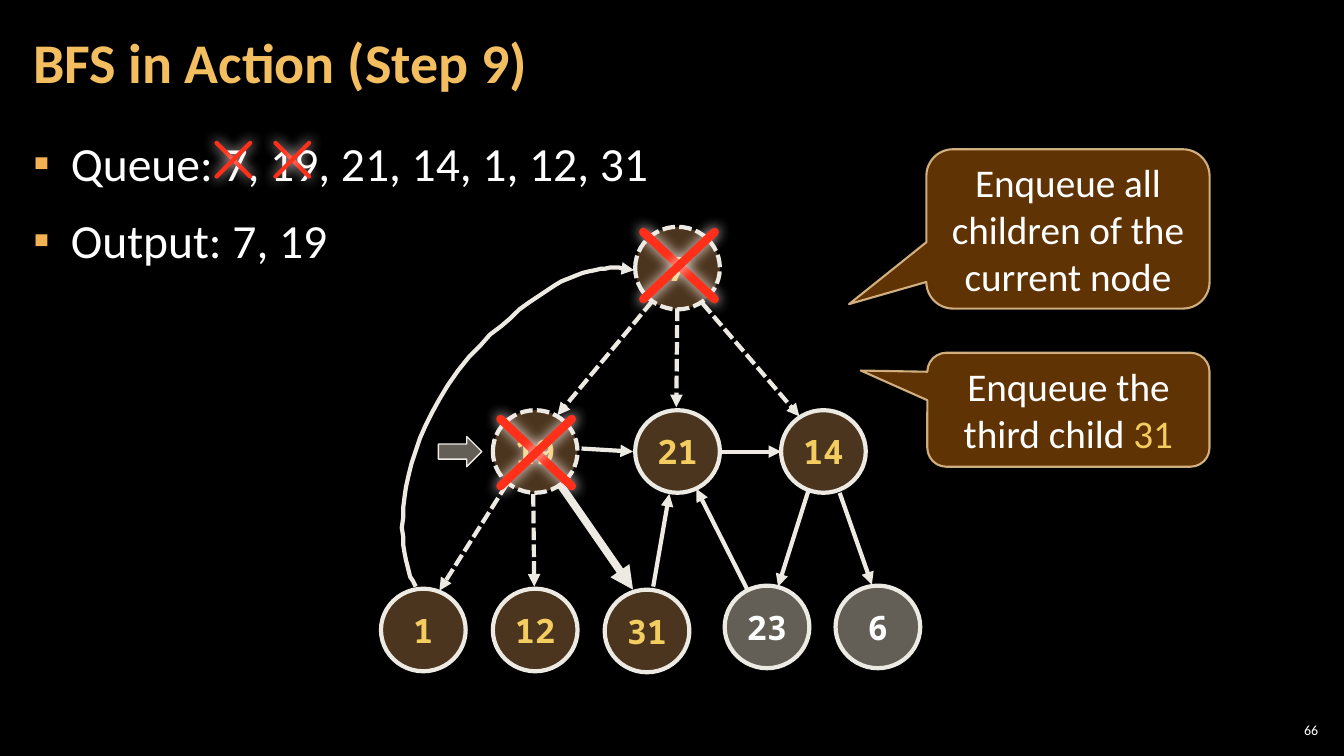
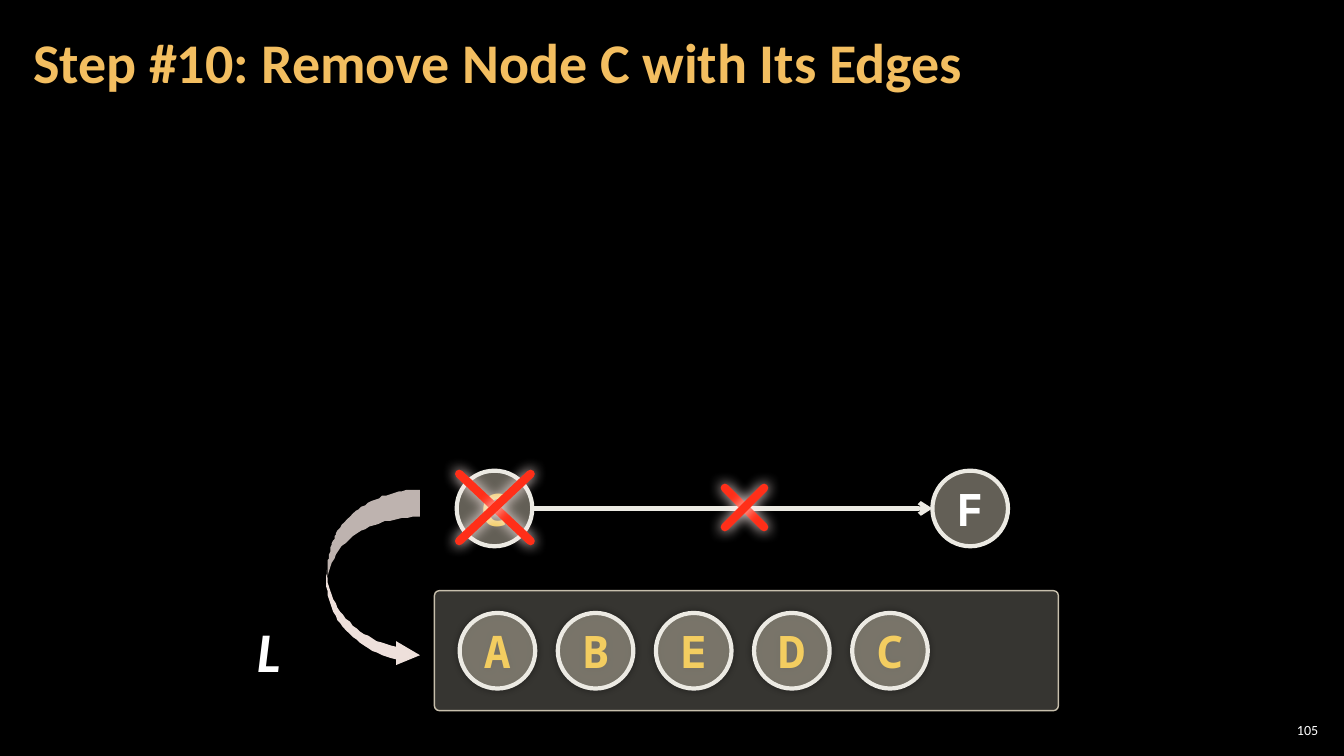
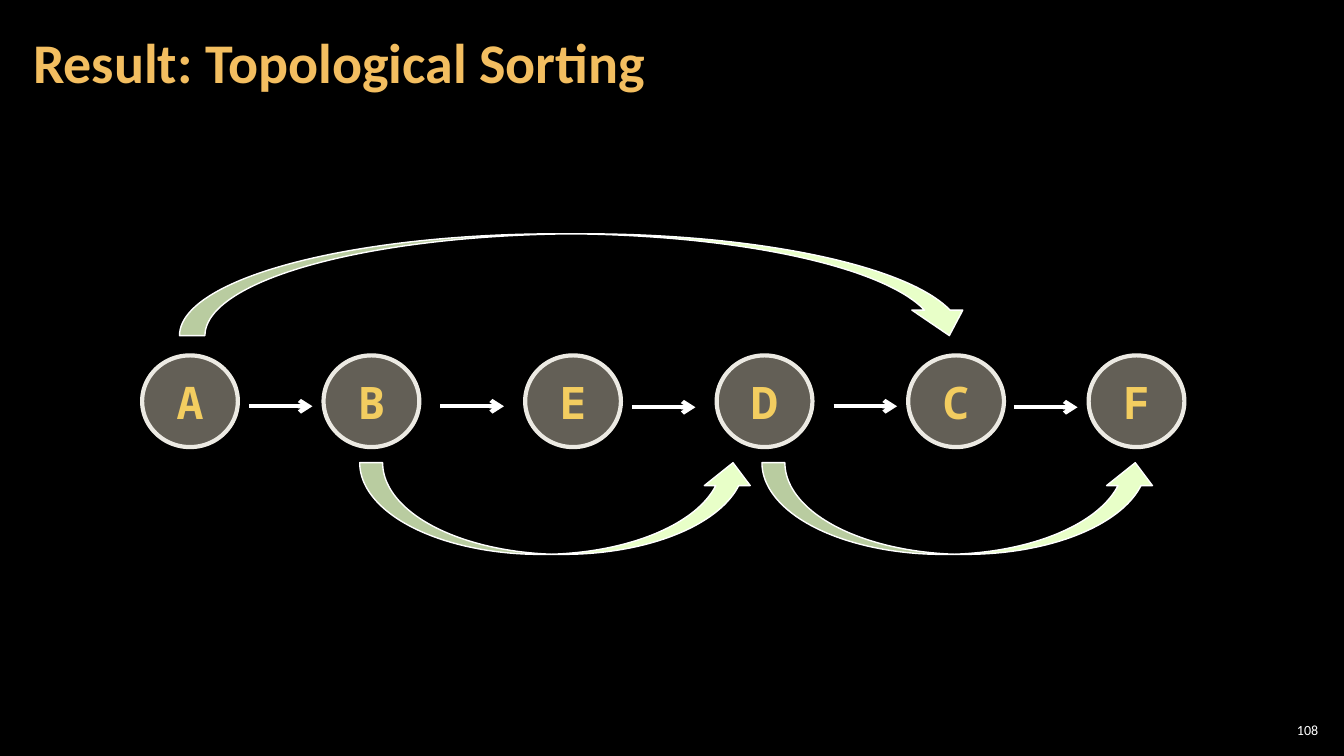
from dataclasses import dataclass

from lxml.etree import SubElement
from pptx import Presentation
from pptx.dml.color import RGBColor
from pptx.enum.dml import MSO_LINE
from pptx.enum.shapes import MSO_CONNECTOR, MSO_SHAPE
from pptx.enum.text import MSO_ANCHOR, MSO_AUTO_SIZE, PP_ALIGN
from pptx.oxml.ns import qn
from pptx.util import Pt


@dataclass(frozen=True)
class Theme:
    # Colours
    back: str = "000000"
    text: str = "FFFFFF"
    title: str = "F3BE60"
    bullet: str = "F2B254"
    key: str = "F3CD60"
    edge: str = "ECEAE3"
    visited: str = "6C4C2C"
    stone: str = "C7BFAC"
    panel: str = "D9D5C7"
    callout: str = "663606"
    callout_edge: str = "F8D49E"
    cross: str = "FF2F19"
    glow: str = "FFEDEB"
    swoop: str = "EEE0DB"
    swoop_dark: str = "BEB3AF"
    curve: str = "E8FFC8"
    # Fonts and sizes
    font: str = "Calibri"
    mono: str = "Noto Sans Mono"
    title_size: int = 40
    body_size: int = 34
    label_size: int = 32
    callout_size: int = 28
    number_size: int = 24
    footer_size: int = 10


THEME = Theme()
GLOW = (THEME.glow, 100, 10)
SOFT = (THEME.back, 40, 5)
DASH = MSO_LINE.SQUARE_DOT

# Breadth-first search: boxes are (left, top, width, height), points are (x, y)
BFS = {
    "title": "BFS in Action (Step 9)", "number": "66",
    "body": ["Queue: 7, 19, 21, 14, 1, 12, 31", "Output: 7, 19"],
    "nodes": [  # label, centre, state
        ("7", (484, 191.5), "done"), ("19", (382.3, 322.5), "done"),
        ("21", (484, 322.5), "queued"), ("14", (588.2, 322.5), "queued"),
        ("1", (302.4, 450), "queued"), ("12", (382.3, 450), "queued"),
        ("31", (462.2, 450.7), "queued"),
        ("23", (547.9, 447.8), "new"), ("6", (627.1, 447.8), "new"),
    ],
    "edges": [  # start, end, dash, width
        ((465.8, 215.3), (398.2, 296.6), DASH, 3),
        ((483.8, 220.3), (483.1, 290.9), DASH, 3),
        ((501.8, 216.7), (571, 297.4), DASH, 3),
        ((362.2, 345.6), (313.9, 421.9), DASH, 3),
        ((380.9, 352.8), (381.6, 419), DASH, 3),
        ((400.3, 346.3), (452.2, 421.2), None, 5.5),
        ((577.4, 350.6), (555.8, 419), None, 3),
        ((599.8, 352.1), (622.8, 417.6), None, 3),
        ((415.4, 320.4), (452.2, 322.6), None, 3),
        ((466.6, 419), (478.1, 352.8), None, 3),
        ((533.5, 420.5), (497.5, 349.2), None, 3),
        ((514.8, 322.6), (558, 322.6), None, 3),
    ],
    "back_edge": [
        (297.4, 419),
        [(286.6, 406.8), (270.7, 336.2), (334.8, 254.9)],
        [(398.9, 187.2), (434.9, 188.6), (452.9, 193)],
    ],
    "crosses": [  # centre, size, line width
        ((166.7, 114.1), (24, 24), 3), ((208.8, 114.1), (24, 24), 3),
        ((485, 189.7), (51, 48), 6), ((383, 323.3), (51, 48), 6),
    ],
    "pointer": (313.2, 311.8, 31, 21.6),
    "callouts": [
        ((661.7, 106.6, 202.3, 113.8), (-0.773, 0.472, 0.167),
         [("Enqueue all children of the current node", THEME.text)]),
        ((662.4, 252, 201.6, 81.4), (-0.736, -0.344, 0.167),
         [("Enqueue the third child ", THEME.text), ("31", THEME.key)]),
    ],
}

REMOVAL = {
    "title": "Step #10: Remove Node C with Its Edges", "number": "105",
    "sorted": "ABEDC", "first": (355.3, 464.8), "step": 70.1,
    "panel": (310.3, 421.9, 445.7, 85.7),
    "nodes": [("C", (353.2, 363.2), THEME.key), ("F", (693, 363.2), THEME.text)],
    "edge": ((380.2, 363.2), (666, 363.2)),
    "crosses": [((353.5, 362.5), (51, 48), 6), ((531.8, 362.5), (28, 28), 6)],
    "list_name": ("L", (162, 437.8, 59.8, 53.3)),
    "swoop": [  # colour, outline
        (THEME.swoop, [
            (233.3, 406.8),
            [(233.3, 432.7), (254.2, 455.8), (283, 462.2)],
            [(283, 457.9)], [(299.5, 468)], [(283, 475.2)], [(283, 470.9)],
            [(254.2, 464.4), (233.3, 441.4), (233.3, 415.4)],
        ]),
        (THEME.swoop_dark, [
            (299.5, 369.4),
            [(265, 369.4), (236.2, 385.9), (234, 415.4)],
            [(232.6, 404.6), (235.4, 389.5), (241.2, 379.4)],
            [(252.7, 361.4), (275, 349.9), (299.5, 349.9)],
        ]),
    ],
}

RESULT = {
    "title": "Result: Topological Sorting", "number": "108",
    "middle": 286.6,
    "nodes": [("A", 135.7), ("B", 265.3), ("E", 409.3),
              ("D", 546.1), ("C", 682.9), ("F", 811.8)],
    "arrows": [(177.8, 290.2), (314.6, 290.2), (451.4, 290.9),
               (595.4, 290.2), (724.3, 290.9)],
    "arrow_length": 45.4,
    "curves": [
        (MSO_SHAPE.CURVED_DOWN_ARROW, (128.2, 167, 568.1, 72.7)),
        (MSO_SHAPE.CURVED_UP_ARROW, (544.3, 330.5, 283, 65.5)),
        (MSO_SHAPE.CURVED_UP_ARROW, (257, 330.5, 283, 65.5)),
    ],
}


# Formatting helpers
def assign(target, **values):
    for name, value in values.items():
        setattr(target, name, value)


def points(*lengths):
    return [Pt(length) for length in lengths]


def paint(fill, color, alpha=100):
    fill.solid()
    fill.fore_color.rgb = RGBColor.from_string(color)
    if alpha < 100:
        for node in fill._xPr.iter(qn("a:srgbClr")):
            SubElement(node, qn("a:alpha"), val=str(alpha * 1000))


def stroke(shape, color, width, dash=None, head=None, alpha=100, cap=None):
    line = shape.line
    paint(line.fill, color, alpha)
    line.width = Pt(width)
    if dash:
        line.dash_style = dash
    outline = line._get_or_add_ln()
    if cap:
        outline.set("cap", cap)
    if head:
        SubElement(outline, qn("a:tailEnd"), type=head)


def set_shadow(shape, shadow=None):
    """Replace the default shadow; shadow is (colour, alpha, blur)."""
    effects = SubElement(shape._element.spPr, qn("a:effectLst"))
    if shadow:
        color, alpha, blur = shadow
        outer = SubElement(effects, qn("a:outerShdw"), blurRad=str(Pt(blur)),
                           dist="0", dir="5400000", algn="ctr", rotWithShape="0")
        tint = SubElement(outer, qn("a:srgbClr"), val=color)
        SubElement(tint, qn("a:alpha"), val=str(alpha * 1000))


def write(para, spans, size, font=THEME.font, bold=False, italic=False):
    for text, color in spans:
        span = para.add_run()
        span.text = text
        assign(span.font, name=font, size=Pt(size), bold=bold, italic=italic)
        span.font.color.rgb = RGBColor.from_string(color)


def set_frame(shape, anchor=MSO_ANCHOR.MIDDLE, wrap=True, inset=None):
    frame = shape.text_frame
    assign(frame, word_wrap=wrap, auto_size=MSO_AUTO_SIZE.NONE,
           vertical_anchor=anchor)
    if inset:
        across, down = points(*inset)
        assign(frame, margin_left=across, margin_right=across,
               margin_top=down, margin_bottom=down)
    return frame


def place(shape, box):
    assign(shape, **dict(zip(("left", "top", "width", "height"), points(*box))))


# Drawing helpers
def add_shape(page, kind, box, fill, line, shadow=None, adjust=()):
    shape = page.shapes.add_shape(kind, *points(*box))
    for index, value in enumerate(adjust):
        shape.adjustments[index] = value
    paint(shape.fill, *fill)
    stroke(shape, **line)
    set_shadow(shape, shadow)
    return shape


def add_node(page, label, center, size, fill, text_color, text_size,
             dash=None, shadow=None):
    (x, y), (width, height) = center, size
    box = (x - width / 2, y - height / 2, width, height)
    line = {"color": THEME.edge, "width": 3, "dash": dash}
    node = add_shape(page, MSO_SHAPE.OVAL, box, fill, line, shadow)
    para = set_frame(node, wrap=False).paragraphs[0]
    para.alignment = PP_ALIGN.CENTER
    write(para, [(label, text_color)], text_size, THEME.mono, bold=True)


def add_line(page, start, end, shadow=None, **line):
    connector = page.shapes.add_connector(
        MSO_CONNECTOR.STRAIGHT, *points(*start, *end))
    stroke(connector, **line)
    set_shadow(connector, shadow)


def add_cross(page, center, size, width):
    (x, y), (dx, dy) = center, (size[0] / 2, size[1] / 2)
    for side in (-1, 1):
        add_line(page, (x + side * dx, y - dy), (x - side * dx, y + dy), GLOW,
                 color=THEME.cross, width=width, cap="rnd")


def bezier(start, first, second, end, steps=24):
    for step in range(1, steps + 1):
        t = step / steps
        weights = ((1 - t) ** 3, 3 * t * (1 - t) ** 2, 3 * t * t * (1 - t), t ** 3)
        yield tuple(sum(weight * point[axis] for weight, point
                        in zip(weights, (start, first, second, end)))
                    for axis in (0, 1))


def add_outline(page, outline, closed):
    start, *segments = outline
    builder = page.shapes.build_freeform(*start, scale=float(Pt(1)))
    for segment in segments:
        curve = list(bezier(start, *segment)) if len(segment) == 3 else segment
        start = segment[-1]
        builder.add_line_segments(curve, close=closed and segment is segments[-1])
    return builder.convert_to_shape()


def add_page(deck, layout, content):
    page = deck.slides.add_slide(deck.slide_layouts[layout])
    title = page.shapes.title
    place(title, (15, 3, 754, 87))
    para = set_frame(title, inset=(8.64, 3)).paragraphs[0]
    assign(para, alignment=PP_ALIGN.LEFT, line_spacing=0.9)
    write(para, [(content["title"], THEME.title)], THEME.title_size, bold=True)

    number = page.shapes.add_textbox(*points(910.8, 514, 33.8, 15.2))
    para = set_frame(number, inset=(3, 3)).paragraphs[0]
    para.alignment = PP_ALIGN.RIGHT
    write(para, [(content["number"], THEME.text)], THEME.footer_size)
    return page


def fill_body(body, lines):
    place(body, (15, 90.7, 929.6, 438.5))
    frame = set_frame(body, MSO_ANCHOR.TOP, inset=(8.64, 3))
    for index, text in enumerate(lines):
        para = frame.add_paragraph() if index else frame.paragraphs[0]
        assign(para, alignment=PP_ALIGN.LEFT, line_spacing=1.05,
               space_before=Pt(6 if index else 0), space_after=Pt(6))
        settings = para._p.get_or_add_pPr()
        assign(settings, marL=Pt(24), indent=-Pt(24))
        color = SubElement(settings, qn("a:buClr"))
        SubElement(color, qn("a:srgbClr"), val=THEME.bullet)
        SubElement(settings, qn("a:buChar"), char="▪")
        write(para, [(text, THEME.text)], THEME.body_size)


# Slides
def build_bfs(deck):
    page = add_page(deck, 1, BFS)
    fill_body(page.placeholders[1], BFS["body"])
    states = {  # fill, text colour, dash
        "done": ((THEME.visited, 70), THEME.key, DASH),
        "queued": ((THEME.visited, 70), THEME.key, None),
        "new": ((THEME.stone, 50), THEME.text, None),
    }
    for label, center, state in BFS["nodes"]:
        fill, color, dash = states[state]
        add_node(page, label, center, (60.5, 59), fill, color,
                 THEME.number_size, dash)
    for start, end, dash, width in BFS["edges"]:
        add_line(page, start, end, color=THEME.edge, width=width, dash=dash,
                 head="triangle")
    back_edge = add_outline(page, BFS["back_edge"], closed=False)
    back_edge.fill.background()
    stroke(back_edge, THEME.edge, 3, head="triangle")
    set_shadow(back_edge)
    for cross in BFS["crosses"]:
        add_cross(page, *cross)
    add_shape(page, MSO_SHAPE.RIGHT_ARROW, BFS["pointer"], (THEME.stone, 50),
              {"color": THEME.edge, "width": 1})
    for box, adjust, spans in BFS["callouts"]:
        callout = add_shape(
            page, MSO_SHAPE.ROUNDED_RECTANGULAR_CALLOUT, box, (THEME.callout, 95),
            {"color": THEME.callout_edge, "width": 1.5, "alpha": 80}, adjust=adjust)
        para = set_frame(callout).paragraphs[0]
        para.alignment = PP_ALIGN.CENTER
        write(para, spans, THEME.callout_size)


def build_removal(deck):
    page = add_page(deck, 5, REMOVAL)
    add_shape(page, MSO_SHAPE.ROUNDED_RECTANGLE, REMOVAL["panel"],
              (THEME.panel, 25), {"color": THEME.stone, "width": 1}, adjust=[0.041])
    x, y = REMOVAL["first"]
    nodes = [(*node, None) for node in REMOVAL["nodes"]]
    nodes += [(label, (x + index * REMOVAL["step"], y), THEME.key, SOFT)
              for index, label in enumerate(REMOVAL["sorted"])]
    for label, center, color, shadow in nodes:
        add_node(page, label, center, (54, 54), (THEME.stone, 50), color,
                 THEME.label_size, shadow=shadow)
    add_line(page, *REMOVAL["edge"], color=THEME.edge, width=3, head="arrow")
    for cross in REMOVAL["crosses"]:
        add_cross(page, *cross)
    label, box = REMOVAL["list_name"]
    para = set_frame(page.shapes.add_textbox(*points(*box))).paragraphs[0]
    para.alignment = PP_ALIGN.CENTER
    write(para, [(label, THEME.text)], THEME.title_size, bold=True, italic=True)
    for color, outline in REMOVAL["swoop"]:
        swoop = add_outline(page, outline, closed=True)
        paint(swoop.fill, color)
        swoop.line.fill.background()
        set_shadow(swoop)


def build_result(deck):
    page = add_page(deck, 5, RESULT)
    for label, x in RESULT["nodes"]:
        add_node(page, label, (x, RESULT["middle"]), (68.4, 65.5),
                 (THEME.stone, 50), THEME.key, THEME.label_size, shadow=SOFT)
    for x, y in RESULT["arrows"]:
        add_line(page, (x, y), (x + RESULT["arrow_length"], y),
                 color=THEME.text, width=3, head="arrow")
    for kind, box in RESULT["curves"]:
        add_shape(page, kind, box, (THEME.curve,), {"color": THEME.text, "width": 1})


def main():
    deck = Presentation()
    assign(deck, slide_width=Pt(960), slide_height=Pt(540))
    paint(deck.slide_master.background.fill, THEME.back)
    for build in (build_bfs, build_removal, build_result):
        build(deck)
    deck.save("out.pptx")


if __name__ == "__main__":
    main()
